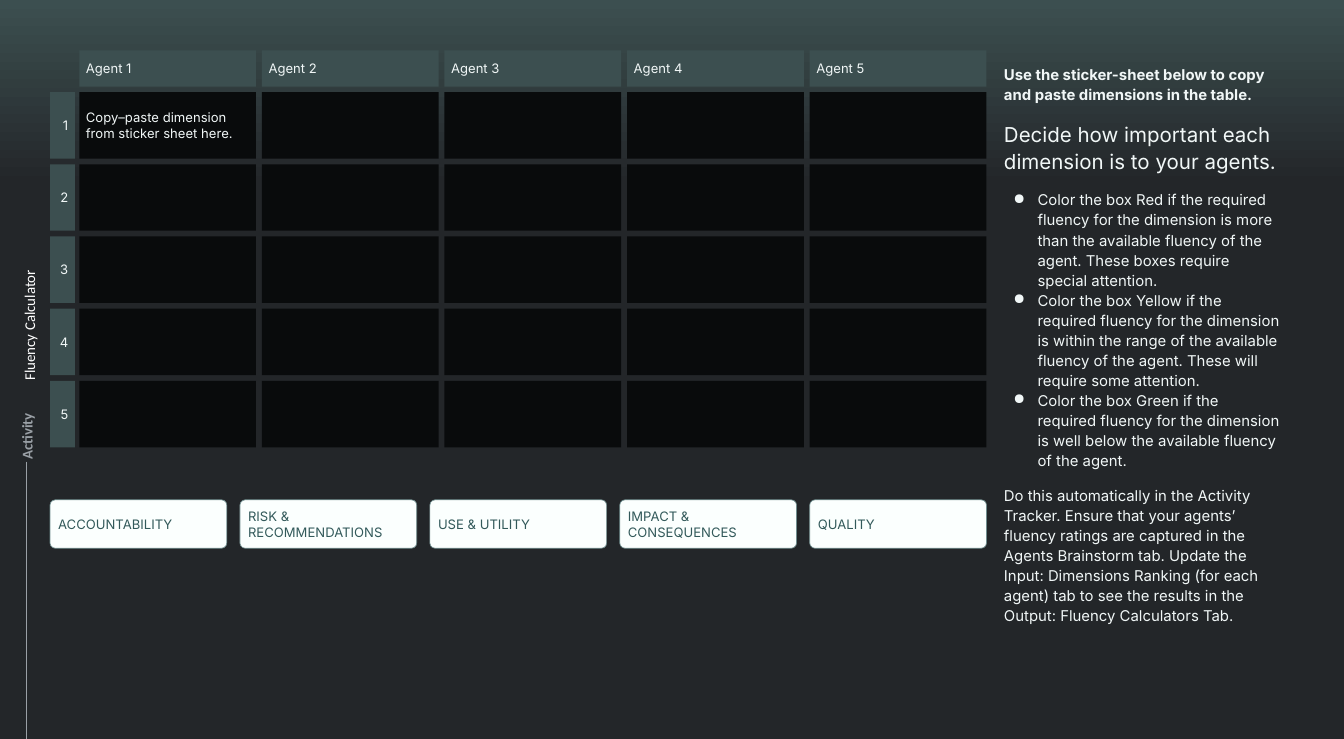
import pptx
import pptx.util
import pptx.dml.color
import pptx.enum.shapes
import pptx.enum.text
from lxml import etree

In = pptx.util.Inches
Pt = pptx.util.Pt
SHAPE = pptx.enum.shapes.MSO_SHAPE
ANCHOR = pptx.enum.text.MSO_ANCHOR
ALIGN = pptx.enum.text.PP_ALIGN

COLORS = {
    "teal": "3C4F50", "night": "232629", "cell": "090B0C", "pale": "F1F7F7",
    "white": "FFFFFF", "grey": "9AA0A6", "card": "FBFFFE",
    "card_line": "6F8D8E", "card_text": "32595A",
}

WIDTH, HEIGHT = 20, 11
COUNT = 5
GRID_LEFT, GRID_TOP = 1.18, 1.37
CELL_W, CELL_H = 2.63, 0.99
LAST_LEFT = 12.05
COL_STEP = (LAST_LEFT - GRID_LEFT) / (COUNT - 1)
ROW_STEP = 1.075
EDGE, HEAD_TOP, HEAD_H, NUMBER_W = 0.745, 0.75, 0.54, 0.37
CARD_STEP = (LAST_LEFT - EDGE) / (COUNT - 1)
CARD_TOP, CARD_H = 7.44, 0.72

STICKERS = ["ACCOUNTABILITY", "RISK & RECOMMENDATIONS", "USE & UTILITY",
            "IMPACT & CONSEQUENCES", "QUALITY"]

GUIDE = [
    ("Use the sticker-sheet below to copy and paste dimensions in the table.",
     dict(bold=True)),
    ("Decide how important each dimension is to your agents.",
     dict(size=22, before=16)),
    ("Color the box Red if the required fluency for the dimension is more than "
     "the available fluency of the agent. These boxes require special attention.",
     dict(before=16, bullet=True)),
    ("Color the box Yellow if the required fluency for the dimension is within "
     "the range of the available fluency of the agent. These will require some "
     "attention.", dict(bullet=True)),
    ("Color the box Green if the required fluency for the dimension is well "
     "below the available fluency of the agent.", dict(bullet=True)),
    ("Do this automatically in the Activity Tracker. Ensure that your agents’ "
     "fluency ratings are captured in the Agents Brainstorm tab. Update the "
     "Input: Dimensions Ranking (for each agent) tab to see the results in the "
     "Output: Fluency Calculators Tab.", dict(before=16, after=16)),
]


def rgb(name):
    return pptx.dml.color.RGBColor.from_string(COLORS[name])


def style(p, size, color, font="Inter", bold=False):
    for r in p.runs:
        r.font.size = Pt(size)
        r.font.name = font
        r.font.bold = bold
        r.font.color.rgb = rgb(color)


def set_frame(tf, inset_x, inset_y, anchor):
    tf.word_wrap = True
    tf.margin_left = tf.margin_right = In(inset_x)
    tf.margin_top = tf.margin_bottom = In(inset_y)
    tf.vertical_anchor = anchor


def add_box(slide, x, y, w, h, fill, text="", color="pale", align=ALIGN.LEFT,
            kind=SHAPE.RECTANGLE):
    sp = slide.shapes.add_shape(kind, In(x), In(y), In(w), In(h))
    sp.shadow.inherit = False
    sp.fill.solid()
    sp.fill.fore_color.rgb = rgb(fill)
    sp.line.fill.background()
    if text:
        set_frame(sp.text_frame, 0.1, 0.1, ANCHOR.MIDDLE)
        p = sp.text_frame.paragraphs[0]
        p.text = text
        p.alignment = align
        style(p, 14, color)
    return sp


def add_card(slide, x, text):
    sp = add_box(slide, x, CARD_TOP, CELL_W, CARD_H, "card", text, "card_text",
                 kind=SHAPE.ROUNDED_RECTANGLE)
    sp.adjustments[0] = 0.107
    sp.line.color.rgb = rgb("card_line")
    sp.line.width = Pt(0.75)


def add_side_label(slide, x, y, w, text, color, inset_x, inset_y, anchor, bold=False):
    sp = slide.shapes.add_textbox(In(x), In(y), In(w), In(0.5))
    sp.rotation = 270
    set_frame(sp.text_frame, inset_x, inset_y, anchor)
    p = sp.text_frame.paragraphs[0]
    p.text = text
    style(p, 16, color, "Calibri", bold)
    return p


def add_side_line(slide, x, top):
    line = slide.shapes.add_connector(pptx.enum.shapes.MSO_CONNECTOR.STRAIGHT,
                                      In(x), In(top), In(x), In(HEIGHT))
    line.line.color.rgb = rgb("grey")
    line.line.width = Pt(0.75)
    etree.SubElement(line._element.spPr, pptx.oxml.ns.qn("a:effectLst"))


def add_bullet(p):
    qn = pptx.oxml.ns.qn
    pPr = p._p.get_or_add_pPr()
    pPr.set("marL", str(In(0.5)))
    pPr.set("indent", str(In(-0.36)))
    clr = etree.SubElement(pPr, qn("a:buClr"))
    etree.SubElement(clr, qn("a:srgbClr"), val=COLORS["pale"])
    etree.SubElement(pPr, qn("a:buChar"), char="●")


def add_guide(slide):
    sp = slide.shapes.add_textbox(In(14.74), In(HEAD_TOP), In(4.51), In(9.5))
    tf = sp.text_frame
    set_frame(tf, 0.2, 0.2, ANCHOR.TOP)
    for i, (text, look) in enumerate(GUIDE):
        p = tf.add_paragraph() if i else tf.paragraphs[0]
        p.text = text
        if look.get("bullet"):
            add_bullet(p)
        p.line_spacing = 1.12
        p.space_before = Pt(look.get("before", 0))
        p.space_after = Pt(look.get("after", 0))
        style(p, look.get("size", 16), "pale", bold=look.get("bold", False))


def add_grid(slide):
    for col in range(COUNT):
        x = GRID_LEFT + col * COL_STEP
        add_box(slide, x, HEAD_TOP, CELL_W, HEAD_H, "teal", f"Agent {col + 1}")
        for row in range(COUNT):
            hint = "" if row or col else "Copy–paste dimension from sticker sheet here."
            add_box(slide, x, GRID_TOP + row * ROW_STEP, CELL_W, CELL_H, "cell", hint)
    for row in range(COUNT):
        add_box(slide, EDGE, GRID_TOP + row * ROW_STEP, NUMBER_W, CELL_H, "teal",
                str(row + 1), align=ALIGN.RIGHT)


def set_background(slide):
    fill = slide.background.fill
    fill.gradient()
    fill.gradient_angle = 270
    for stop, (name, position) in zip(fill.gradient_stops, [("teal", 0), ("night", 0.25)]):
        stop.color.rgb = rgb(name)
        stop.position = position


def main():
    prs = pptx.Presentation()
    prs.slide_width, prs.slide_height = In(WIDTH), In(HEIGHT)
    slide = prs.slides.add_slide(prs.slide_layouts[6])
    set_background(slide)
    add_side_line(slide, 0.39, 6.87)
    add_side_label(slide, -0.03, 6.15, 0.89, "Activity", "grey", 0, 0.1, ANCHOR.TOP, True)
    p = add_side_label(slide, -1.83, 3.37, 4.49, "Fluency Calculator", "white",
                       0.2, 0.2, ANCHOR.MIDDLE)
    p.line_spacing = 1.15
    add_guide(slide)
    add_grid(slide)
    for i, name in enumerate(STICKERS):
        add_card(slide, EDGE + i * CARD_STEP, name)
    prs.save("out.pptx")


if __name__ == "__main__":
    main()
